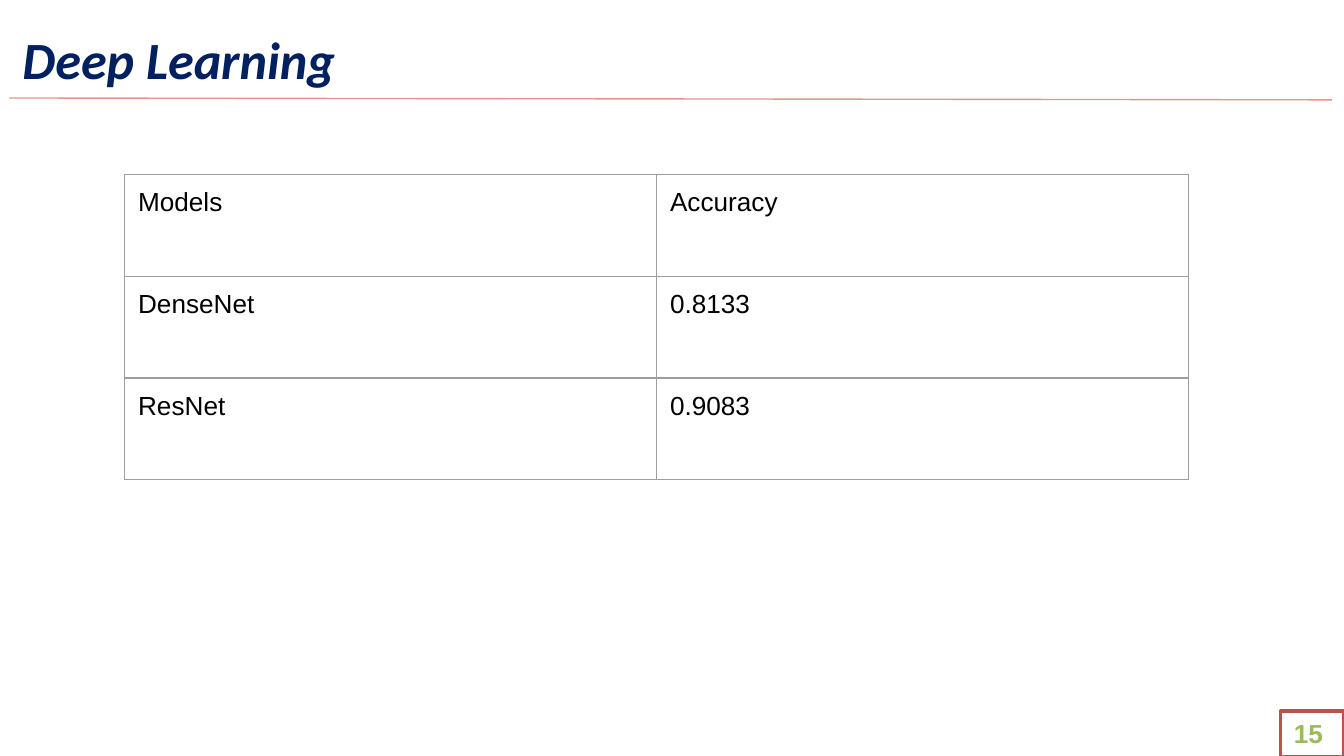
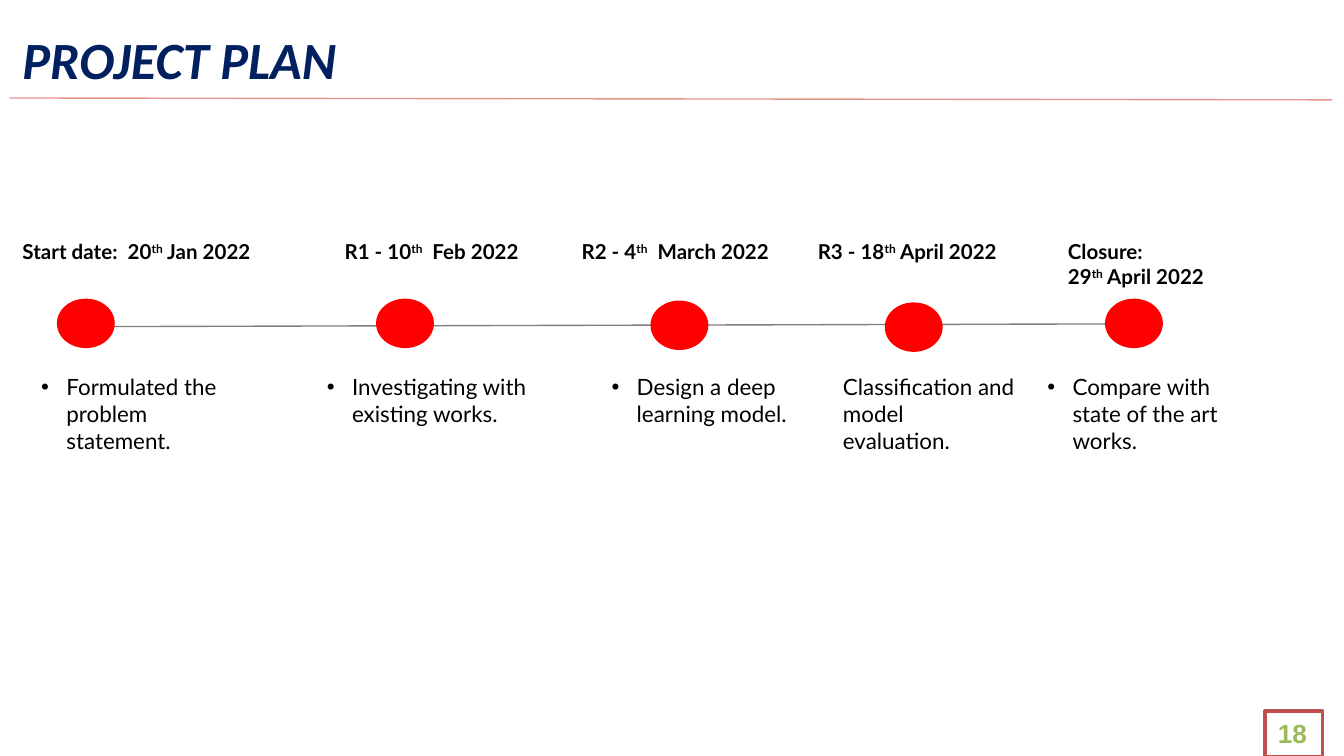
from lxml import etree
from pptx import Presentation
from pptx.dml.color import RGBColor
from pptx.enum import shapes, text
from pptx.oxml import ns
from pptx.util import Pt

# Content: text between carets is raised
MODELS = [("Models", "Accuracy"), ("DenseNet", "0.8133"), ("ResNet", "0.9083")]
# date lines, date left and width, dot left and top, note, note left and width, bullet
STEPS = [
    (["Start date:  20^th^ Jan 2022"], 5, 153, 30.5, 160,
     "Formulated the problem statement.", 15, 121, True),
    (["R1 - 10^th^  Feb 2022"], 177.5, 120, 201.5, 160,
     "Investigating with existing works.", 168, 121, True),
    (["R2 - 4^th^  March 2022"], 304.5, 121, 348.5, 161,
     "Design a deep learning model.", 320.5, 112, True),
    (["R3 - 18^th^ April 2022"], 431, 129, 474, 162,
     "Classification and model evaluation.", 444.5, 107, False),
    (["Closure:", "29^th^ April 2022"], 565, 112, 592, 160,
     "Compare with state of the art works.", 554, 107, True),
]

# Shared style
NAVY, ROSE, BRICK, GREEN = "002060", "E4948A", "C0504D", "9BBB59"
RED, GREY, EDGE, WHITE, BLACK = "FF0000", "7F7F7F", "9E9E9E", "FFFFFF", "000000"
DOT_W, DOT_H = 31, 26.5

deck = Presentation()
deck.slide_width, deck.slide_height = Pt(720), Pt(405)


def rgb(code):
    return RGBColor.from_string(code)


def node(parent, tag, **attrs):
    return etree.SubElement(parent, ns.qn(tag), attrs)


def write(frame, *lines, size=12, font="Lato", color=BLACK, bold=False,
          italic=False, bullet=False):
    frame.word_wrap = True
    frame.vertical_anchor = text.MSO_ANCHOR.TOP
    for i, line in enumerate(lines):
        par = frame.add_paragraph() if i else frame.paragraphs[0]
        par.alignment = text.PP_ALIGN.LEFT
        if bullet:
            props = par._p.get_or_add_pPr()
            props.set("marL", str(Pt(13.5)))
            props.set("indent", str(-Pt(13.5)))
            node(node(props, "a:buClr"), "a:srgbClr", val=BLACK)
            node(props, "a:buFont", typeface="Arial")
            node(props, "a:buChar", char="•")
        for k, part in enumerate(line.split("^")):
            run = par.add_run()
            run.text = part
            face = run.font
            face.size, face.name = Pt(size), font
            face.bold, face.italic = bold, italic
            face.color.rgb = rgb(color)
            if k % 2:
                run._r.get_or_add_rPr().set("baseline", "30000")


def label(slide, box, *lines, **style):
    item = slide.shapes.add_textbox(*map(Pt, box))
    write(item.text_frame, *lines, **style)


def form(slide, kind, box, fill, edge=None):
    item = slide.shapes.add_shape(kind, *map(Pt, box))
    item.shadow.inherit = False
    item.fill.solid()
    item.fill.fore_color.rgb = rgb(fill)
    if edge:
        item.line.color.rgb = rgb(edge)
        item.line.width = Pt(2)
    else:
        item.line.fill.background()
    return item


def rule(slide, ends, color):
    line = slide.shapes.add_connector(shapes.MSO_CONNECTOR.STRAIGHT, *map(Pt, ends))
    line.line.color.rgb = rgb(color)
    line.line.width = Pt(0.75)
    node(line._element.spPr, "a:effectLst")


def page(title, number, left, width):
    slide = deck.slides.add_slide(deck.slide_layouts[6])
    rule(slide, (5, 52.5, 713.5, 53.5), ROSE)
    label(slide, (5, 11, 706, 40), title, size=28, font="Calibri",
          color=NAVY, bold=True, italic=True)
    badge = form(slide, shapes.MSO_SHAPE.RECTANGLE, (left, 381, width, 24.5),
                 WHITE, BRICK)
    write(badge.text_frame, number, size=14, font="Arial", color=GREEN, bold=True)
    return slide


def frame_cell(cell):
    props = cell._tc.get_or_add_tcPr()
    for i, side in enumerate(("a:lnL", "a:lnR", "a:lnT", "a:lnB")):
        line = etree.Element(ns.qn(side), w=str(Pt(0.75)))
        node(node(line, "a:solidFill"), "a:srgbClr", val=EDGE)
        props.insert(i, line)


# Slide 15: model accuracy
slide = page("Deep Learning", "15", 686, 34)
grid = slide.shapes.add_table(len(MODELS), 2, Pt(66.75), Pt(93.5),
                              Pt(570), Pt(163.5)).table
grid.first_row = grid.horz_banding = False
for r, row in enumerate(MODELS):
    grid.rows[r].height = Pt(54.5)
    for c, word in enumerate(row):
        cell = grid.cell(r, c)
        cell.margin_left = cell.margin_right = Pt(7.2)
        cell.margin_top = cell.margin_bottom = Pt(7.2)
        cell.fill.background()
        frame_cell(cell)
        write(cell.text_frame, word, size=14, font="Arial")

# Slide 18: timeline
slide = page("PROJECT PLAN", "18", 677.5, 31)
rule(slide, (615.5, 173.5, 48, 175), GREY)
for dates, x, w, dot, top, note, left, wide, mark in STEPS:
    label(slide, (x, 124.5, w, 57), *dates, size=11, bold=True)
    form(slide, shapes.MSO_SHAPE.OVAL, (dot, top, DOT_W, DOT_H), RED)
    label(slide, (left, 196.5, wide, 57), note, bullet=mark)

deck.save("out.pptx")
